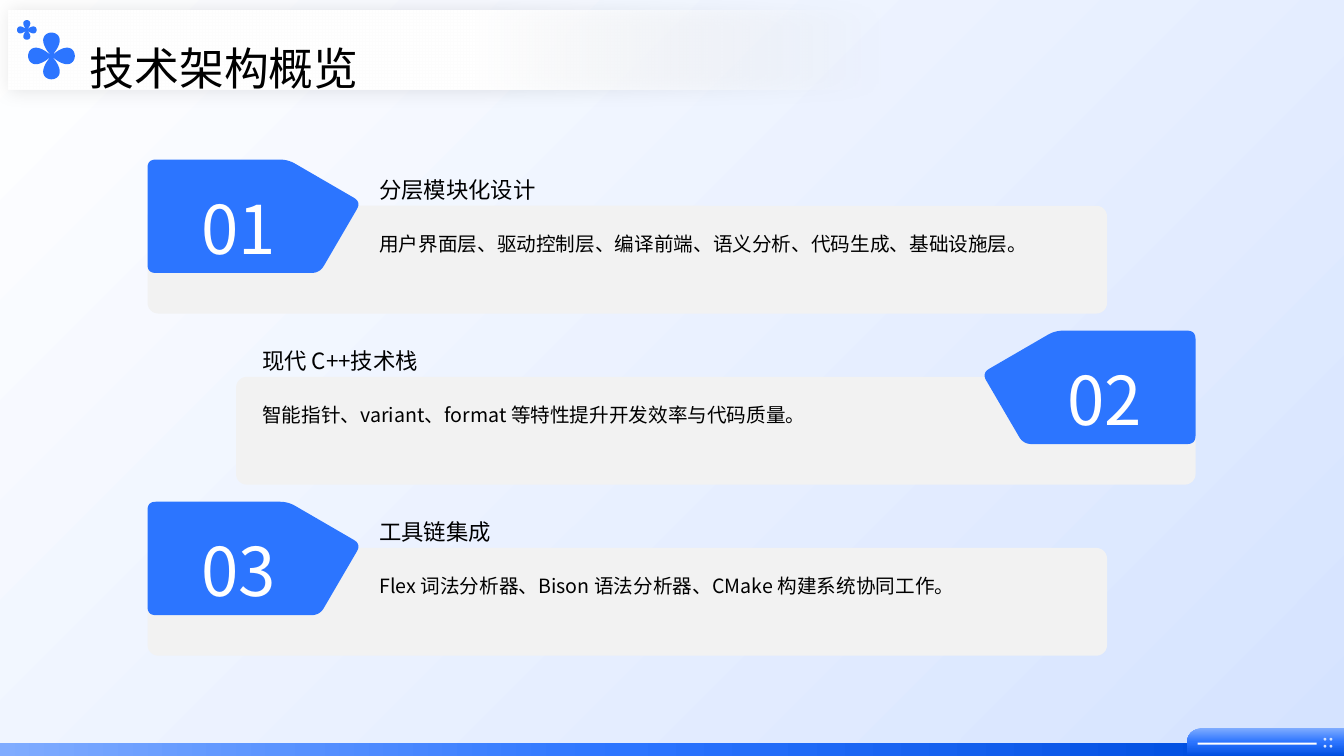
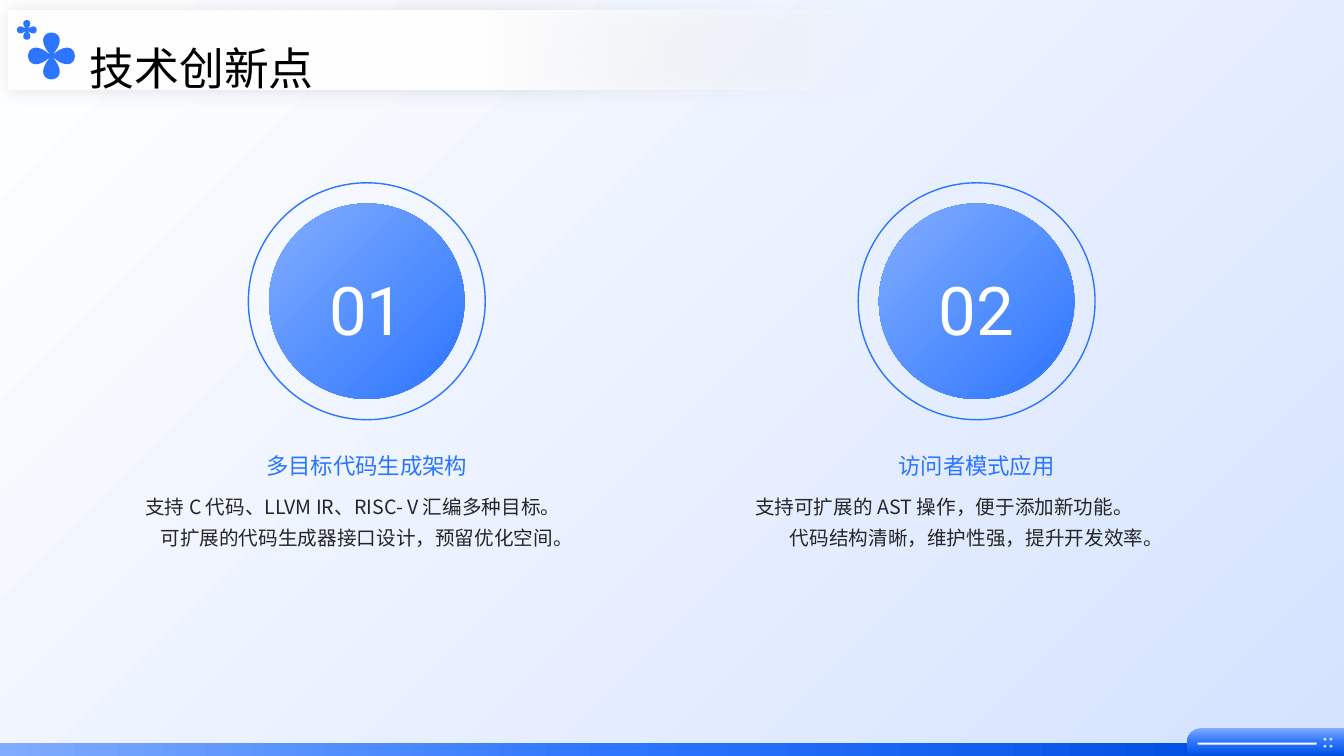
"""Build two slides on a compiler's architecture and innovations."""
import dataclasses
import math

import lxml.etree
import pptx
import pptx.dml.color
import pptx.enum.shapes
import pptx.enum.text
import pptx.oxml.ns
import pptx.util

Pt = pptx.util.Pt
qn = pptx.oxml.ns.qn
RGB = pptx.dml.color.RGBColor.from_string
SHAPE = pptx.enum.shapes.MSO_SHAPE
ALIGN = pptx.enum.text.PP_ALIGN
ANCHOR = pptx.enum.text.MSO_ANCHOR


@dataclasses.dataclass(frozen=True)
class TextStyle:
    """Size, line height, colour and font of a piece of text."""
    size: float
    line: float
    color: str
    font: str = "Noto Sans CJK SC"


@dataclasses.dataclass(frozen=True)
class Theme:
    """Colours and text styles of the deck."""
    white: str = "FFFFFF"
    blue: str = "2C75FF"
    light_blue: str = "80ACFF"
    deep_blue: str = "004EE0"
    pale_blue: str = "D5E3FF"
    panel: str = "F2F2F2"
    black: str = "000000"
    title: TextStyle = TextStyle(32, 64, "000000")
    heading: TextStyle = TextStyle(16, 23.5, "000000")
    body: TextStyle = TextStyle(14, 24.4, "000000")
    number: TextStyle = TextStyle(48, 73.4, "FFFFFF")
    disc_number: TextStyle = TextStyle(48, 68, "FFFFFF", "Roboto")
    disc_heading: TextStyle = TextStyle(16, 27, "2C75FF")
    first_note: TextStyle = TextStyle(14, 16.8, "262626")
    next_note: TextStyle = TextStyle(14, 22, "262626")


class Deck:
    """Holds the theme, the presentation and the slide being drawn."""

    def __init__(self, theme, width, height):
        self.theme = theme
        self.width, self.height = width, height
        self.deck = pptx.Presentation()
        self.deck.slide_width, self.deck.slide_height = Pt(width), Pt(height)
        self.page = None
        master = self.deck.slide_master
        stops = [(0, theme.white, 100), (100, theme.pale_blue, 100)]
        self.gradient(master.background.fill, master.element, stops, 45)

    def gradient(self, fill, element, stops, angle):
        """Fill with (position, colour, opacity) stops at a clockwise angle."""
        fill.gradient()
        grad = element.find(".//" + qn("a:gradFill"))
        for child in list(grad):
            grad.remove(child)
        stop_list = lxml.etree.SubElement(grad, qn("a:gsLst"))
        for position, color, opacity in stops:
            stop = lxml.etree.SubElement(stop_list, qn("a:gs"), pos=str(position * 1000))
            tint = lxml.etree.SubElement(stop, qn("a:srgbClr"), val=color)
            if opacity < 100:
                lxml.etree.SubElement(tint, qn("a:alpha"), val=str(opacity * 1000))
        lxml.etree.SubElement(grad, qn("a:lin"), ang=str(angle * 60000), scaled="0")

    def paint(self, shape, fill=None, angle=0, line=None):
        """Give a shape a plain, gradient or empty fill and an optional line."""
        shape.shadow.inherit = False
        if fill is None:
            shape.fill.background()
        elif isinstance(fill, str):
            shape.fill.solid()
            shape.fill.fore_color.rgb = RGB(fill)
        else:
            self.gradient(shape.fill, shape.element, fill, angle)
        if line:
            shape.line.color.rgb = RGB(line)
            shape.line.width = Pt(1)
        else:
            shape.line.fill.background()
        return shape

    def shape(self, kind, left, top, width, height, fill=None, angle=0, line=None):
        """Add a preset shape."""
        box = self.page.shapes.add_shape(kind, Pt(left), Pt(top), Pt(width), Pt(height))
        return self.paint(box, fill, angle, line)

    def circle(self, center_x, center_y, radius, **paint):
        """Add a circle round a centre."""
        return self.shape(SHAPE.OVAL, center_x - radius, center_y - radius,
                          2 * radius, 2 * radius, **paint)

    def outline(self, contours, fill, angle=0):
        """Add a freeform made of closed contours."""
        builder = None
        for contour in contours:
            points = [(Pt(x), Pt(y)) for x, y in contour]
            if builder is None:
                builder = self.page.shapes.build_freeform(*points[0], scale=1.0)
            else:
                builder.move_to(*points[0])
            builder.add_line_segments(points[1:], close=True)
        return self.paint(builder.convert_to_shape(), fill, angle)

    def rounded(self, corners, fill, angle=0, steps=8):
        """Add a polygon from (x, y, radius) corners."""
        contour = []
        for index, (x, y, radius) in enumerate(corners):
            if not radius:
                contour.append((x, y))
                continue
            ends = []
            for other in (corners[index - 1], corners[(index + 1) % len(corners)]):
                share = radius / math.dist((x, y), other[:2])
                ends.append((x + (other[0] - x) * share, y + (other[1] - y) * share))
            (ax, ay), (bx, by) = ends
            for step in range(steps + 1):
                t = step / steps
                contour.append(((1 - t) ** 2 * ax + 2 * t * (1 - t) * x + t * t * bx,
                                (1 - t) ** 2 * ay + 2 * t * (1 - t) * y + t * t * by))
        return self.outline([contour], fill, angle)

    def clover(self, center_x, center_y, radius, steps=32):
        """Add a flower of four petals."""
        petals = []
        for quarter in range(4):
            turn = quarter * math.pi / 2
            petal = []
            for step in range(steps):
                a = 2 * math.pi * step / steps
                along = radius * (1 - math.cos(a)) / 2
                across = 0.46 * radius * math.sin(a) * math.sin(a / 2)
                petal.append((center_x + along * math.cos(turn) - across * math.sin(turn),
                              center_y + along * math.sin(turn) + across * math.cos(turn)))
            petals.append(petal)
        return self.outline(petals, self.theme.blue)

    def style(self, para, style, align):
        """Format a paragraph and its runs."""
        para.alignment = align
        para.line_spacing = Pt(style.line)
        for span in para.runs:
            span.font.size = Pt(style.size)
            span.font.color.rgb = RGB(style.color)
            span.font.name = style.font
            east = lxml.etree.Element(qn("a:ea"), typeface=style.font)
            span.font._element.find(qn("a:latin")).addnext(east)

    def set_text(self, box, lines, anchor, inset=(0, 0)):
        """Fill a box with (text, style, alignment) lines."""
        frame = box.text_frame
        frame.word_wrap = True
        frame.auto_size = pptx.enum.text.MSO_AUTO_SIZE.NONE
        frame.vertical_anchor = anchor
        frame.margin_left = frame.margin_right = Pt(inset[0])
        frame.margin_top = frame.margin_bottom = Pt(inset[1])
        frame.text = "\n".join(text for text, _, _ in lines)
        for para, (_, style, align) in zip(frame.paragraphs, lines):
            self.style(para, style, align)

    def text(self, left, top, width, height, lines, anchor=ANCHOR.TOP, inset=(0, 0)):
        """Add a text box."""
        box = self.page.shapes.add_textbox(Pt(left), Pt(top), Pt(width), Pt(height))
        self.set_text(box, lines, anchor, inset)

    def add_page(self, title):
        """Start a slide with its title, header and footer."""
        self.page = self.deck.slides.add_slide(self.deck.slide_layouts[5])
        self.footer()
        self.header()
        box = self.page.shapes.title
        box.left, box.top, box.width, box.height = Pt(64), Pt(18.7), Pt(612), Pt(34)
        self.set_text(box, [(title, self.theme.title, ALIGN.LEFT)], ANCHOR.MIDDLE)
        self.page.shapes._spTree.append(box.element)

    def header(self):
        """Draw the fading title band and its flowers."""
        theme = self.theme
        fade = [(25, theme.white, 0), (60, theme.white, 100)]
        band = self.shape(SHAPE.RECTANGLE, 6.2, 7.2, 831.6, 57, fade, 180)
        effects = band.element.spPr.find(qn("a:effectLst"))
        shadow = lxml.etree.SubElement(effects, qn("a:outerShdw"), blurRad=str(Pt(13)),
                                       dist="0", dir="0", algn="ctr", rotWithShape="0")
        tint = lxml.etree.SubElement(shadow, qn("a:srgbClr"), val=theme.black)
        lxml.etree.SubElement(tint, qn("a:alpha"), val="10000")
        self.clover(36.8, 40, 16.7)
        self.clover(19.2, 21.4, 7)

    def footer(self):
        """Draw the bottom bar and the tab with its dots."""
        theme = self.theme
        stops = [(0, theme.light_blue, 100), (50, theme.blue, 100), (100, theme.deep_blue, 100)]
        self.shape(SHAPE.RECTANGLE, 0, 531, 885, self.height - 531, stops)
        left, top = 847.6, 520
        self.rounded([(left, top, 13), (self.width, top, 0),
                      (self.width, self.height, 0), (left, self.height, 0)], stops, 90)
        self.shape(SHAPE.RECTANGLE, 855.4, 530.5, 85, 1.4, theme.white)
        for x in (946.4, 950.7):
            for y in (528, 533):
                self.circle(x, y, 1, fill=theme.pale_blue)

    def layer(self, top, number, heading, body, tag_right):
        """Draw a panel with a numbered tag on one side."""
        theme = self.theme
        left, width = (168.6 if tag_right else 105.4), 685.4
        panel = self.shape(SHAPE.ROUNDED_RECTANGLE, left, top + 33, width, 77, theme.panel)
        panel.adjustments[0] = 0.1
        edge, side = (left + width, -1) if tag_right else (left, 1)
        corners = [(0, 0), (100.4, 0), (152.6, 30.3), (123, 81), (0, 81)]
        self.rounded([(edge + side * x, top + y, 6) for x, y in corners], theme.blue)
        text_left = left + (18.7 if tag_right else 165.5)
        self.text(text_left, top + 44, 498, 55, [(body, theme.body, ALIGN.LEFT)])
        self.text(text_left, top + 2, 498, 29, [(heading, theme.heading, ALIGN.LEFT)],
                  ANCHOR.BOTTOM)
        self.text(edge + side * 65 - 35, top + 13.5, 70, 54,
                  [(number, theme.number, ALIGN.CENTER)], ANCHOR.MIDDLE)

    def innovation(self, center_x, number, heading, notes):
        """Draw a ringed disc with a heading and notes below."""
        theme = self.theme
        center_y, inset, width = 215.2, (7.2, 3.6), 330.6
        stops = [(0, theme.blue, 100), (98, theme.light_blue, 100)]
        self.circle(center_x, center_y, 69.8, fill=stops, angle=225)
        self.circle(center_x, center_y, 84.6, line=theme.blue)
        self.text(center_x - 51.5, center_y - 38, 103, 76,
                  [(number, theme.disc_number, ALIGN.CENTER)], ANCHOR.MIDDLE, inset)
        left = center_x - width / 2
        self.text(left, 305.3, width, 47,
                  [(heading, theme.disc_heading, ALIGN.CENTER)], ANCHOR.MIDDLE, inset)
        first, second = notes
        self.text(left, 350, width, 150,
                  [(first, theme.first_note, ALIGN.LEFT),
                   (second, theme.next_note, ALIGN.CENTER)], inset=inset)


LAYERS = [
    ("分层模块化设计", "用户界面层、驱动控制层、编译前端、语义分析、代码生成、基础设施层。"),
    ("现代 C++技术栈", "智能指针、variant、format 等特性提升开发效率与代码质量。"),
    ("工具链集成", "Flex 词法分析器、Bison 语法分析器、CMake 构建系统协同工作。"),
]
INNOVATIONS = [
    ("多目标代码生成架构", ("支持 C 代码、LLVM IR、RISC- V 汇编多种目标。",
                  "可扩展的代码生成器接口设计，预留优化空间。")),
    ("访问者模式应用", ("支持可扩展的 AST 操作，便于添加新功能。",
                "代码结构清晰，维护性强，提升开发效率。")),
]


def main():
    """Draw both slides and save the deck."""
    deck = Deck(Theme(), 960, 540)
    deck.add_page("技术架构概览")
    for index, (heading, body) in enumerate(LAYERS):
        deck.layer(114 + 122.2 * index, f"{index + 1:02}", heading, body, index % 2 == 1)
    deck.add_page("技术创新点")
    for index, (heading, notes) in enumerate(INNOVATIONS):
        deck.innovation(262 + 435.6 * index, f"{index + 1:02}", heading, notes)
    deck.deck.save("out.pptx")


if __name__ == "__main__":
    main()
